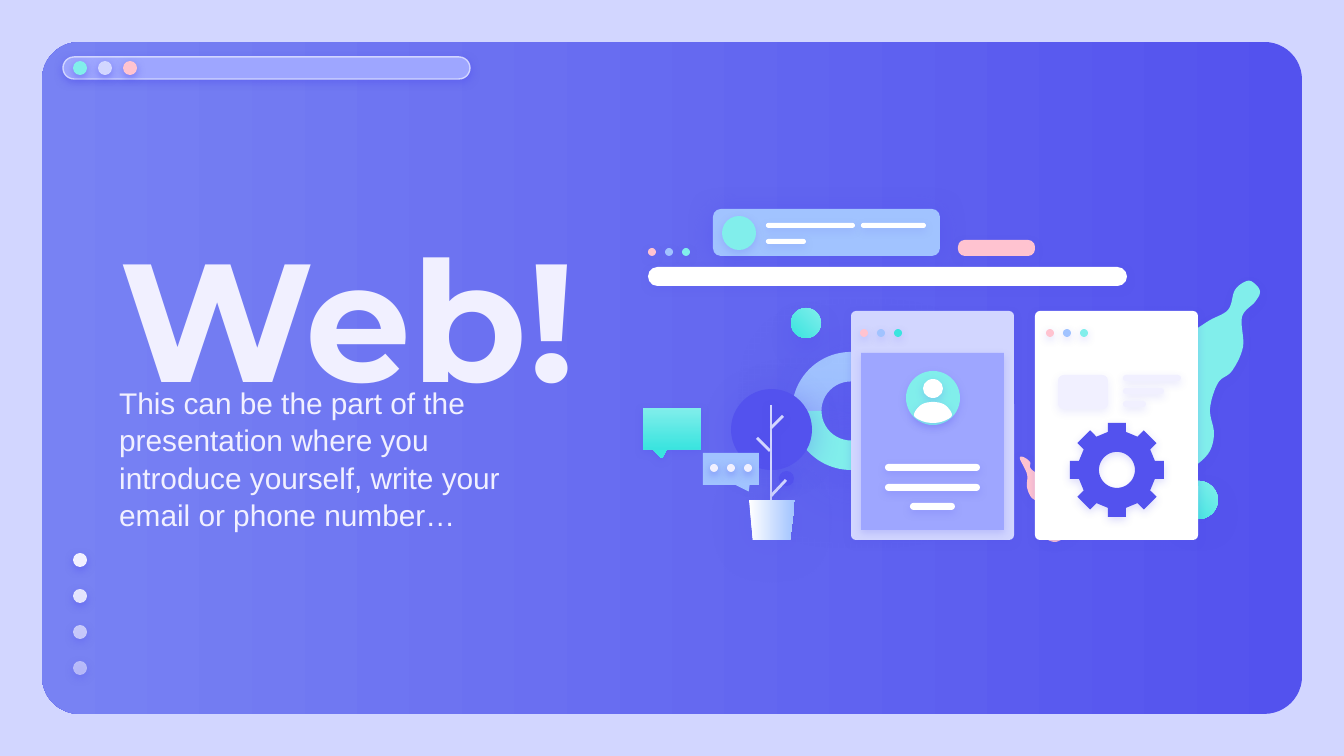
import math

import pptx
import pptx.dml.color
import pptx.enum.shapes
import pptx.enum.text
import pptx.oxml
import pptx.oxml.ns
import pptx.util
from lxml import etree

EMU_PER_PX = 914400 / 134.4
SHAPE = pptx.enum.shapes.MSO_SHAPE
qn = pptx.oxml.ns.qn


class Theme:
    indigo, violet, lilac, periwinkle = "5352EE", "7882F3", "9EA6FF", "D2D6FF"
    sky, aqua, teal, pink = "A1C3FF", "81EEEB", "3AE4DF", "FFC3D0"
    white, pale = "FFFFFF", "F1F0FF"
    title_font, body_font = "Montserrat", "Arial"
    title_size, body_size = 90, 16


def px(n):
    return pptx.util.Emu(round(n * EMU_PER_PX))


def rgb(color):
    return pptx.dml.color.RGBColor.from_string(color)


def smooth(points, steps=8):
    """Closed Catmull-Rom curve through the points."""
    curve = []
    for i in range(len(points)):
        a, b, c, d = (points[(i + k) % len(points)] for k in (-1, 0, 1, 2))
        for step in range(steps):
            t = step / steps
            curve.append([(2 * q + (r - p) * t + (2 * p - 5 * q + 4 * r - s) * t ** 2
                           + (3 * q - p - 3 * r + s) * t ** 3) / 2
                          for p, q, r, s in zip(a, b, c, d)])
    return curve


def circle(cx, cy, radius, steps=48):
    turns = [2 * math.pi * i / steps for i in range(steps)]
    return [(cx + radius * math.cos(t), cy + radius * math.sin(t)) for t in turns]


def gear(cx, cy, teeth=8):
    """Outline of the toothed rim, one tooth turned round the centre."""
    tooth = [(-9, -38), (-9, -47), (9, -47), (9, -38)]
    points = []
    for i in range(teeth):
        t = 2 * math.pi * i / teeth
        points += [(cx + x * math.cos(t) - y * math.sin(t),
                    cy + x * math.sin(t) + y * math.cos(t)) for x, y in tooth]
    return points


class Painter:
    def __init__(self, slide):
        self.slide = slide

    def shadow(self, sp, alpha=18, blur=4.5, dist=1.5, angle=90):
        sp_pr = sp._element.spPr
        effects = sp_pr.find(qn("a:effectLst"))
        if effects is None:
            effects = etree.SubElement(sp_pr, qn("a:effectLst"))
        if alpha:
            outer = etree.SubElement(
                effects, qn("a:outerShdw"), blurRad=str(pptx.util.Pt(blur)),
                dist=str(pptx.util.Pt(dist)), dir=str(angle * 60000),
                algn="bl", rotWithShape="0")
            clr = etree.SubElement(outer, qn("a:srgbClr"), val=Theme.indigo)
            etree.SubElement(clr, qn("a:alpha"), val=str(alpha * 1000))

    def finish(self, sp, fill, shadow, angle=0, opacity=100):
        """Fill with one colour, or with a (start, end) gradient."""
        if isinstance(fill, tuple):
            sp.fill.gradient()
            sp.fill.gradient_angle = (360 - angle) % 360
            for stop, color in zip(sp.fill.gradient_stops, fill):
                stop.color.rgb = rgb(color)
        else:
            sp.fill.solid()
            sp.fill.fore_color.rgb = rgb(fill)
            if opacity < 100:
                clr = sp._element.spPr.find(".//" + qn("a:srgbClr"))
                etree.SubElement(clr, qn("a:alpha"), val=str(opacity * 1000))
        sp.line.fill.background()
        sp.shadow.inherit = False
        self.shadow(sp, *shadow)
        return sp

    def shape(self, kind, x, y, w, h, fill, shadow=(18,), adj=(), angle=0, opacity=100):
        sp = self.slide.shapes.add_shape(kind, px(x), px(y), px(w), px(h))
        for i, value in enumerate(adj):
            sp.adjustments[i] = value
        return self.finish(sp, fill, shadow, angle, opacity)

    def bar(self, x, y, w, h, fill, shadow=(18,), radius=0.5, angle=0):
        return self.shape(SHAPE.ROUNDED_RECTANGLE, x, y, w, h, fill, shadow, (radius,), angle)

    def dot(self, x, y, w, h, fill, shadow=(18,), angle=0, opacity=100):
        return self.shape(SHAPE.OVAL, x, y, w, h, fill, shadow, (), angle, opacity)

    def dots(self, x, y, w, h, step, colors, shadow=(18,)):
        for i, color in enumerate(colors):
            self.dot(x + i * step, y, w, h, color, shadow)

    def outline(self, contours, fill, shadow=(18,)):
        contours = [[(px(x), px(y)) for x, y in c] for c in contours]
        builder = self.slide.shapes.build_freeform(*contours[0][0], scale=1.0)
        builder.add_line_segments(contours[0][1:], close=True)
        for contour in contours[1:]:
            builder.move_to(*contour[0])
            builder.add_line_segments(contour[1:], close=True)
        return self.finish(builder.convert_to_shape(), fill, shadow)

    def line(self, x1, y1, x2, y2, color, shadow=(28,)):
        cx = self.slide.shapes.add_connector(
            pptx.enum.shapes.MSO_CONNECTOR.STRAIGHT, px(x1), px(y1), px(x2), px(y2))
        cx.line.color.rgb = rgb(color)
        cx.line.width = pptx.util.Pt(1.5)
        self.shadow(cx, *shadow)

    def text(self, x, y, w, h, words, font, size, bold=False, spacing=None):
        tf = self.slide.shapes.add_textbox(px(x), px(y), px(w), px(h)).text_frame
        tf.word_wrap = True
        tf.vertical_anchor = pptx.enum.text.MSO_ANCHOR.MIDDLE
        tf.margin_left = tf.margin_right = tf.margin_top = tf.margin_bottom = pptx.util.Inches(0.1)
        tf.text = words
        p = tf.paragraphs[0]
        p.line_spacing = spacing
        r = p.runs[0]
        r.font.name, r.font.size, r.font.bold = font, pptx.util.Pt(size), bold
        r.font.color.rgb = rgb(Theme.pale)


def main():
    prs = pptx.Presentation()
    prs.slide_width, prs.slide_height = px(1344), px(756)
    s = prs.slides.add_slide(prs.slide_layouts[6])
    s.background.fill.solid()
    s.background.fill.fore_color.rgb = rgb(Theme.periwinkle)
    d, t = Painter(s), Theme
    strong = (50,)

    # Panel, address bar and side dots
    d.bar(42, 42, 1260, 672, (t.indigo, t.violet), (0,), 0.056, 180)
    address = d.bar(63, 57, 407, 22, t.lilac, strong)
    address.line.color.rgb = rgb(t.periwinkle)
    address.line.width = pptx.util.Pt(0.75)
    d.dots(73, 61, 14, 14, 25, (t.aqua, t.periwinkle, t.pink), strong)
    for i, opacity in enumerate((100, 90, 67, 54)):
        d.dot(73, 553 + 36 * i, 14, 14, t.pale, strong, opacity=opacity)

    # Title and subtitle
    d.text(106, 232, 489, 167, "Web!", t.title_font, t.title_size, bold=True)
    d.text(106, 399, 454, 118, "This can be the part of the presentation where you introduce "
           "yourself, write your email or phone number…", t.body_font, t.body_size, spacing=1.04)

    # Blobs behind the windows
    pink_blob = [(1023, 457), (1020, 459), (1027, 474), (1027, 487), (1031, 497), (1038, 503),
                 (1042, 515), (1039, 526), (1042, 535), (1050, 541), (1059, 541), (1073, 530),
                 (1066, 503), (1059, 499), (1054, 484), (1032, 470), (1030, 462)]
    aqua_blob = [(1247, 281), (1255, 284), (1260, 292), (1255, 302), (1242, 317), (1243, 347),
                 (1232, 371), (1218, 383), (1210, 409), (1214, 434), (1208, 454), (1189, 469),
                 (1171, 468), (1138, 442), (1137, 410), (1156, 383), (1171, 372), (1183, 341),
                 (1207, 322), (1228, 310), (1235, 290)]
    d.outline([smooth(pink_blob)], t.pink, (22,))
    d.outline([smooth(aqua_blob)], t.aqua, (22,))

    # Banner card and button
    d.bar(713, 209, 227, 47, t.sky, (50, 14.6), 0.167)
    for x, y, w in ((766, 223, 89), (861, 223, 65), (766, 239, 40)):
        d.bar(x, y, w, 5, t.white, (14,))
    d.dot(722, 216, 34, 34, t.aqua)
    d.bar(958, 240, 77, 16, t.pink, (24,), 0.423)

    # Speech bubble and ring
    d.shape(SHAPE.ROUNDED_RECTANGULAR_CALLOUT, 643, 408, 58, 41, (t.aqua, t.teal),
            (31,), (-0.174, 0.731, 0), 90)
    for color, turn in ((t.sky, 0), (t.aqua, 180)):
        arc = d.shape(SHAPE.BLOCK_ARC, 792, 352, 118, 118, color, (67, 38.2, 9, 49), (108, 0, 0.25))
        arc.rotation = turn

    # Plant
    d.dot(731, 389, 81, 81, t.indigo, (36, 16.9))
    d.dot(779, 471, 15, 15, t.indigo, (26,))
    for ends in ((771, 405, 771, 500), (757, 438, 770, 451),
                 (783, 416, 771, 428), (786, 480, 771, 496)):
        d.line(*ends, t.periwinkle)
    d.outline([[(749, 500), (795, 500), (790, 540), (753, 540)]], (t.white, t.sky), (24, 25.9))

    # Chat bubble
    d.shape(SHAPE.ROUNDED_RECTANGULAR_CALLOUT, 703, 453, 56, 32, t.sky, (0,), (0.317, 0.706, 0))
    d.dots(710, 464, 8, 8, 17, (t.pale,) * 3, strong)

    # Loose balls
    for x, y, size in ((1180, 481, 38), (791, 308, 30)):
        d.dot(x, y, size, size, (t.aqua, t.teal), (38, 12.4, 6.8), 135)

    # Search bar
    d.bar(648, 267, 479, 19, t.white)
    d.dots(648, 248, 8, 8, 17, (t.pink, t.sky, t.aqua))

    # Settings window
    d.bar(1035, 311, 163, 229, t.white, radius=0.03)
    d.dots(1046, 329, 8, 8, 17, (t.pink, t.sky, t.aqua))
    d.outline([gear(1117, 470), circle(1117, 470, 18)], t.indigo)

    # Profile window
    d.bar(851, 311, 163, 229, t.periwinkle, radius=0.03)
    d.shape(SHAPE.RECTANGLE, 861, 353, 143, 177, t.lilac)
    d.dots(860, 329, 8, 8, 17, (t.pink, t.sky, t.teal))
    for x, y, w in ((885, 464, 95), (885, 484, 95), (910, 503, 45)):
        d.bar(x, y, w, 7, t.white)
    d.dot(906, 371, 54, 54, t.aqua)
    d.dot(923, 379, 20, 19, t.white)
    shoulders = [(933, 402), (921, 405), (914, 415), (922, 421),
                 (933, 423), (944, 421), (952, 415), (945, 405)]
    d.outline([smooth(shoulders)], t.white)

    # Settings window content
    d.bar(1058, 375, 50, 34, t.pale, (9,), 0.167)
    for i, w in enumerate((58, 41, 23)):
        d.bar(1123, 375 + 13 * i, w, 6, t.pale, (14,))

    prs.save("out.pptx")


if __name__ == "__main__":
    main()
